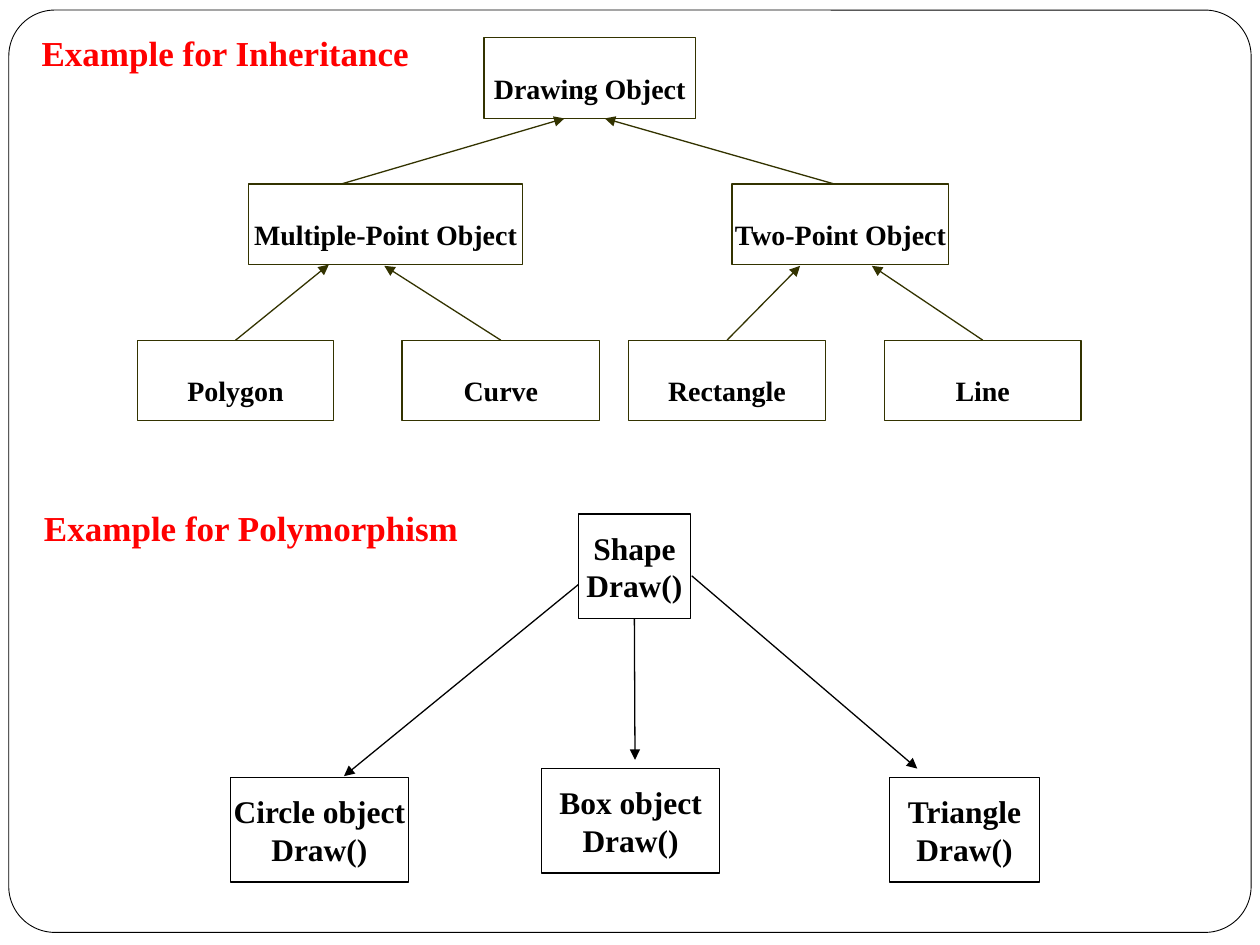
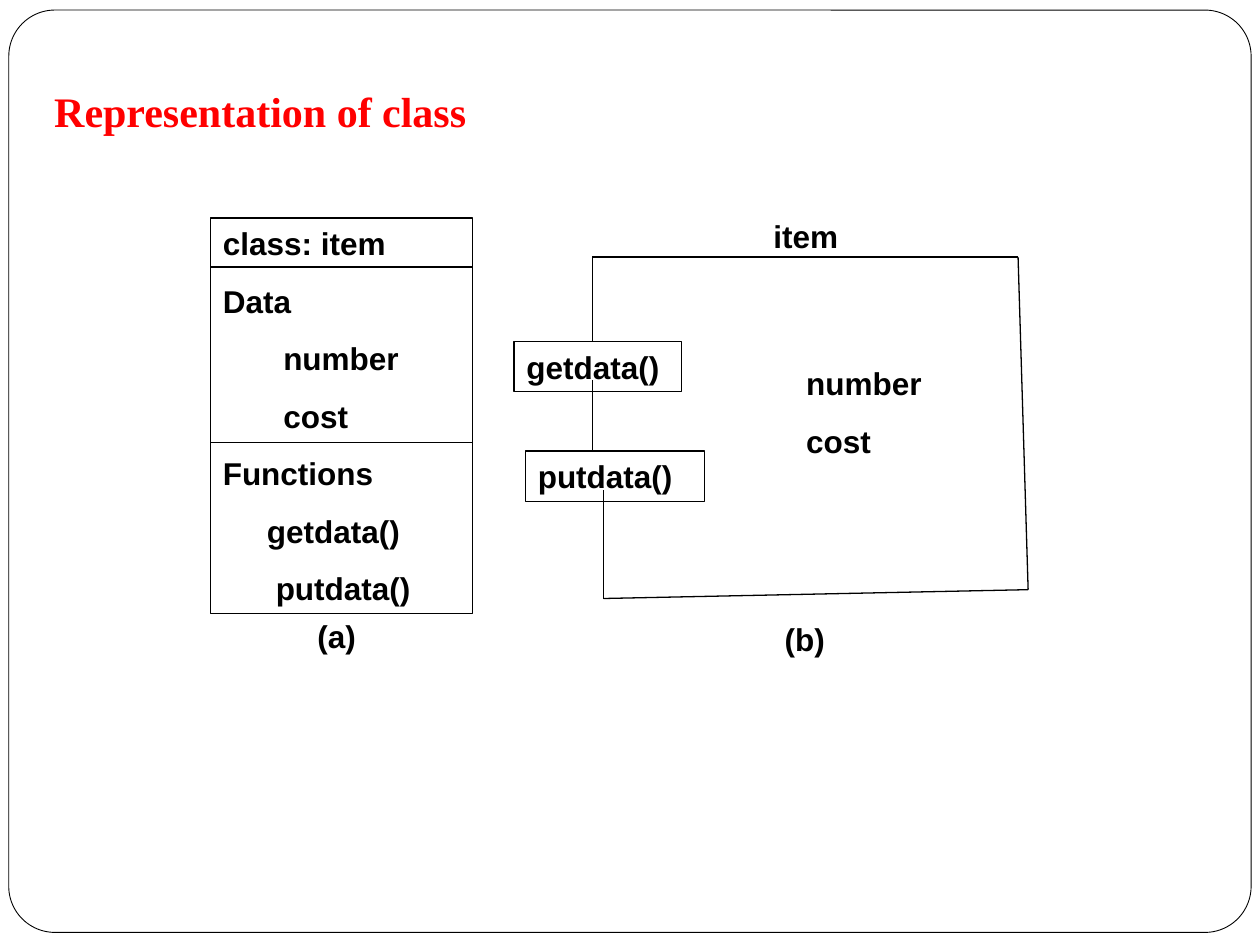
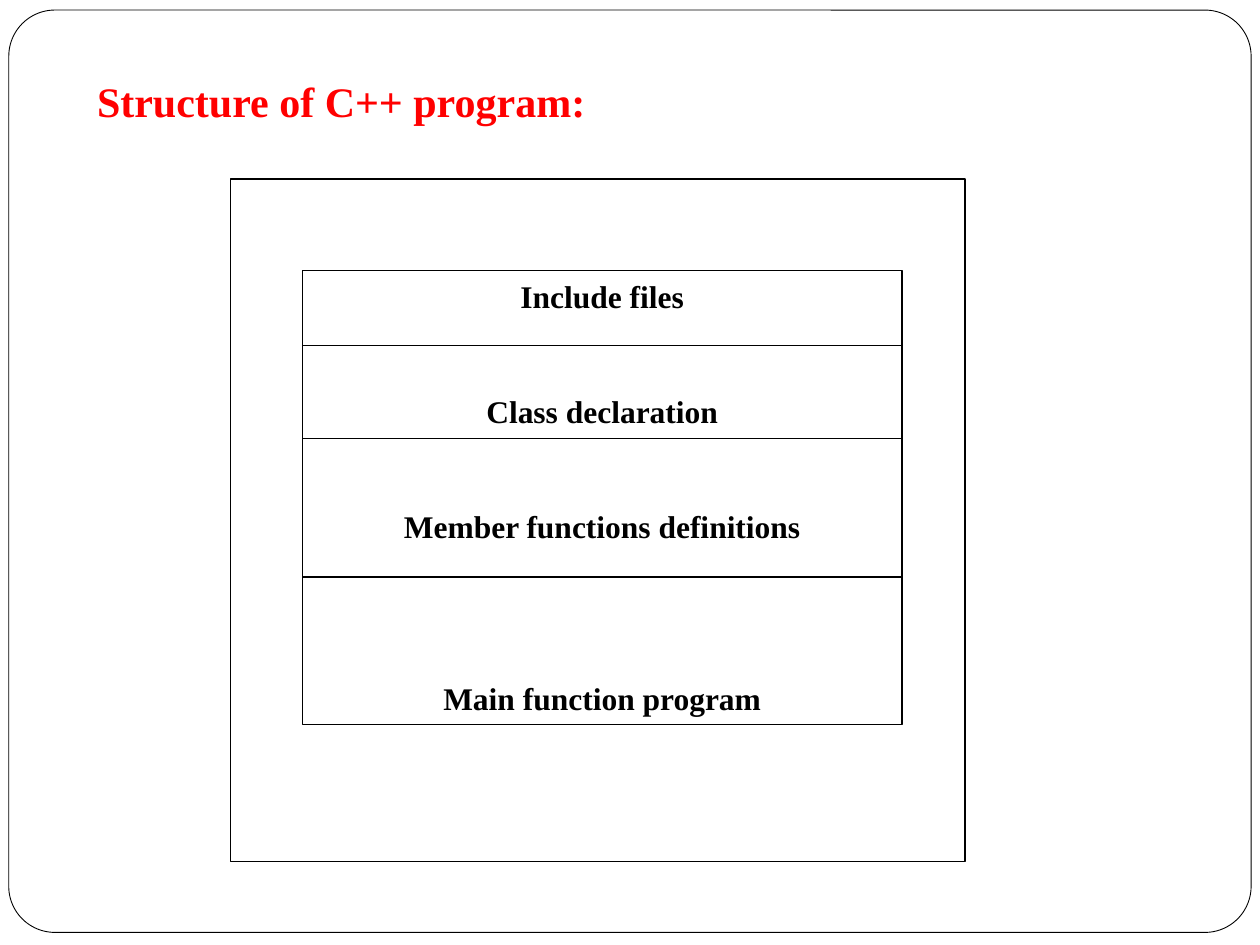
from dataclasses import dataclass

from lxml import etree
from pptx import Presentation
from pptx.dml.color import RGBColor
from pptx.enum.shapes import MSO_CONNECTOR, MSO_SHAPE
from pptx.enum.text import MSO_ANCHOR, MSO_AUTO_SIZE, PP_ALIGN
from pptx.oxml.ns import qn
from pptx.util import Inches, Pt


# Theme
@dataclass(frozen=True)
class Theme:
    serif: str = "Times New Roman"
    sans: str = "Arial"
    black: RGBColor = RGBColor(0, 0, 0)
    red: RGBColor = RGBColor(255, 0, 0)
    white: RGBColor = RGBColor(255, 255, 255)
    olive: RGBColor = RGBColor(0x33, 0x33, 0)
    title: int = 24
    heading: int = 20
    body: int = 18
    small: int = 16
    leading: float = 1.2
    gap: float = 11.25
    line: float = 0.75
    frame_line: float = 0.5


T = Theme()
INSETS = (0.1, 0.05, 0.1, 0.05)
LOW_INSETS = (0.1, 0.05, 0.1, 0.1)
NO_INSETS = (0, 0, 0, 0)
FRAME = (0.07, 0.08, 9.86, 7.32)

# Slide 1: class tree as name, left, top, width
TREE_H = 0.64
TREE = [
    ("Drawing Object", 3.84, 0.3, 1.68),
    ("Multiple-Point Object", 1.97, 1.46, 2.18),
    ("Two-Point Object", 5.81, 1.46, 1.72),
    ("Polygon", 1.09, 2.7, 1.56),
    ("Curve", 3.19, 2.7, 1.57),
    ("Rectangle", 4.99, 2.7, 1.56),
    ("Line", 7.02, 2.7, 1.56),
]
PARENT_ARROWS = [((2.71, 1.46), (4.48, 0.94)), ((6.62, 1.46), (4.8, 0.94))]
LEAF_ARROWS = {"Polygon": (2.61, 2.1), "Curve": (3.05, 2.11),
               "Rectangle": (6.35, 2.11), "Line": (6.92, 2.11)}
DRAW_H = 0.83
DRAW_BOXES = [
    ("Shape", 4.59, 4.08, 0.89),
    ("Circle object", 1.83, 6.17, 1.41),
    ("Box object", 4.3, 6.1, 1.41),
    ("Triangle", 7.06, 6.17, 1.19),
]
SIDE_ARROWS = [((4.59, 4.64), (2.73, 6.16)), ((5.49, 4.57), (7.28, 6.1))]
DOWN_ARROW_END = (5.04, 6.03)

# Slide 2: class table rows as text, indent
CLASS_BOX = (1.67, 1.73, 2.08, 3.14)
CLASS_ROWS = [("class: item", 0), ("Data", 0), ("number", 0.48), ("cost", 0.48),
              ("Functions", 0), ("getdata()", 0.35), ("putdata()", 0.42)]
CLASS_RULES = [2.12, 3.51]
METHODS = [("getdata()", (4.08, 2.71, 1.33, 0.4)),
           ("putdata()", (4.17, 3.58, 1.42, 0.4))]
LABELS = [
    (["(a)"], (2.42, 4.85, 0.75, 0.4)),
    (["item"], (6.04, 1.67, 1.15, 0.4)),
    (["(b)"], (6.13, 4.87, 0.97, 0.4)),
    (["number", "cost"], (6.3, 2.84, 1.33, 0.86)),
]
OUTLINE = [(4.7, 2.71), (4.7, 2.04), (8.08, 2.04), (8.16, 4.68),
           (4.79, 4.75), (4.79, 3.89)]
METHOD_LINK = ((4.7, 3.02), (4.7, 3.57))

# Slide 3: program parts as text, lines below the part before
OUTER_BOX = (1.83, 1.42, 5.83, 5.42)
PARTS_BOX = (2.4, 2.15, 4.76, 3.6)
PARTS = [("Include files", 0), ("Class declaration", 2),
         ("Member functions definitions", 2), ("Main function program", 3)]
PART_RULES = [2.74, 3.48, 4.58]


# Shared helpers
def inches(values):
    return [Inches(v) for v in values]


def put_text(s, lines, size=T.body, font=T.serif, color=T.black, insets=INSETS,
             anchor=MSO_ANCHOR.TOP, align=PP_ALIGN.LEFT, gap=0, wrap=True):
    tf = s.text_frame
    tf.text = "\n".join(lines)
    tf.auto_size = MSO_AUTO_SIZE.NONE
    tf.word_wrap = wrap
    tf.vertical_anchor = anchor
    tf.margin_left, tf.margin_top, tf.margin_right, tf.margin_bottom = inches(insets)
    for i, p in enumerate(tf.paragraphs):
        p.alignment = align
        p.line_spacing = Pt(size * T.leading)
        p.space_before = Pt(gap if i else 0)
        for r in p.runs:
            r.font.name, r.font.size, r.font.bold = font, Pt(size), True
            r.font.color.rgb = color
    return tf


def add_box(slide, at, color=T.black, fill=None, kind=MSO_SHAPE.RECTANGLE,
            width=T.line):
    s = slide.shapes.add_shape(kind, *inches(at))
    s.shadow.inherit = False
    if fill is None:
        s.fill.background()
    else:
        s.fill.solid()
        s.fill.fore_color.rgb = fill
    s.line.color.rgb = color
    s.line.width = Pt(width)
    return s


def add_line(slide, start, end, color=T.black, arrow=False):
    c = slide.shapes.add_connector(MSO_CONNECTOR.STRAIGHT, *inches(start + end))
    c.line.color.rgb = color
    c.line.width = Pt(T.line)
    sp_pr = c.element.spPr
    if arrow:
        etree.SubElement(sp_pr.find(qn("a:ln")), qn("a:tailEnd"), type="triangle")
    etree.SubElement(sp_pr, qn("a:effectLst"))
    return c


def add_rules(slide, box, tops):
    for y in tops:
        add_line(slide, (box[0], y), (box[0] + box[2], y))


def add_label(slide, lines, at, **style):
    return put_text(slide.shapes.add_textbox(*inches(at)), lines, **style)


def new_slide(prs, title, at, size=T.title, **style):
    slide = prs.slides.add_slide(prs.slide_layouts[5])
    s = slide.shapes.title
    s.left, s.top, s.width, s.height = inches(at)
    put_text(s, [title], size=size, color=T.red, **style)
    return slide


def add_frame(prs, slide):
    """Draw the rounded frame and move it to the layout that all slides use."""
    s = add_box(slide, FRAME, kind=MSO_SHAPE.ROUNDED_RECTANGLE, width=T.frame_line)
    s.adjustments[0] = 0.05
    prs.slide_layouts[5].shapes.element.insert(2, s.element)


# Slides
def examples_slide(prs):
    slide = new_slide(prs, "Example for Inheritance", (0.33, 0.25, 3.33, 0.33),
                      size=T.heading, insets=NO_INSETS)
    add_frame(prs, slide)

    # Inheritance tree, names set on the second line
    drop = T.small * T.leading / 72
    boxes = {}
    for name, x, y, w in TREE:
        s = boxes[name] = add_box(slide, (x, y, w, TREE_H), T.olive, T.white)
        put_text(s, [name], size=T.small, insets=(0, drop, 0, 0),
                 align=PP_ALIGN.CENTER)
    for start, end in PARENT_ARROWS:
        add_line(slide, start, end, T.olive, arrow=True)
    for name, end in LEAF_ARROWS.items():
        add_line(slide, end, end, T.olive, arrow=True).begin_connect(boxes[name], 0)

    # Polymorphism
    add_label(slide, ["Example for Polymorphism"], (0.25, 3.92, 3.75, 0.53),
              size=T.heading, color=T.red, insets=LOW_INSETS,
              anchor=MSO_ANCHOR.BOTTOM)
    for name, x, y, w in DRAW_BOXES:
        s = boxes[name] = add_box(slide, (x, y, w, DRAW_H))
        put_text(s, [name, "Draw()"], anchor=MSO_ANCHOR.MIDDLE,
                 align=PP_ALIGN.CENTER, wrap=False)
    for start, end in SIDE_ARROWS:
        add_line(slide, start, end, arrow=True)
    down = add_line(slide, DOWN_ARROW_END, DOWN_ARROW_END, arrow=True)
    down.begin_connect(boxes["Shape"], 2)


def class_slide(prs):
    slide = new_slide(prs, "Representation of class", (0.33, 0.58, 3.84, 0.59),
                      anchor=MSO_ANCHOR.MIDDLE)
    style = dict(font=T.sans, gap=T.gap)

    # Class table
    tf = put_text(add_box(slide, CLASS_BOX), [t for t, _ in CLASS_ROWS], **style)
    for p, (_, indent) in zip(tf.paragraphs, CLASS_ROWS):
        p._p.get_or_add_pPr().set("marL", str(Inches(indent)))
    add_rules(slide, CLASS_BOX, CLASS_RULES)

    # Object outline with its methods on the left edge
    for name, at in METHODS:
        put_text(add_box(slide, at), [name], **style)
    for start, end in [*zip(OUTLINE, OUTLINE[1:]), METHOD_LINK]:
        add_line(slide, start, end)
    for lines, at in LABELS:
        add_label(slide, lines, at, **style)


def program_slide(prs):
    slide = new_slide(prs, "Structure of C++ program:", (0.67, 0.5, 8.5, 0.6),
                      insets=LOW_INSETS, anchor=MSO_ANCHOR.BOTTOM)
    add_box(slide, OUTER_BOX)
    tf = put_text(add_box(slide, PARTS_BOX), [t for t, _ in PARTS],
                  align=PP_ALIGN.CENTER)
    leading = T.body * T.leading
    for p, (_, steps) in zip(tf.paragraphs, PARTS):
        if steps:
            p.space_before = Pt(steps * (leading + T.gap) - leading)
    add_rules(slide, PARTS_BOX, PART_RULES)


def main():
    prs = Presentation()
    prs.slide_width, prs.slide_height = Inches(10), Inches(7.5)
    examples_slide(prs)
    class_slide(prs)
    program_slide(prs)
    prs.save("out.pptx")


if __name__ == "__main__":
    main()
